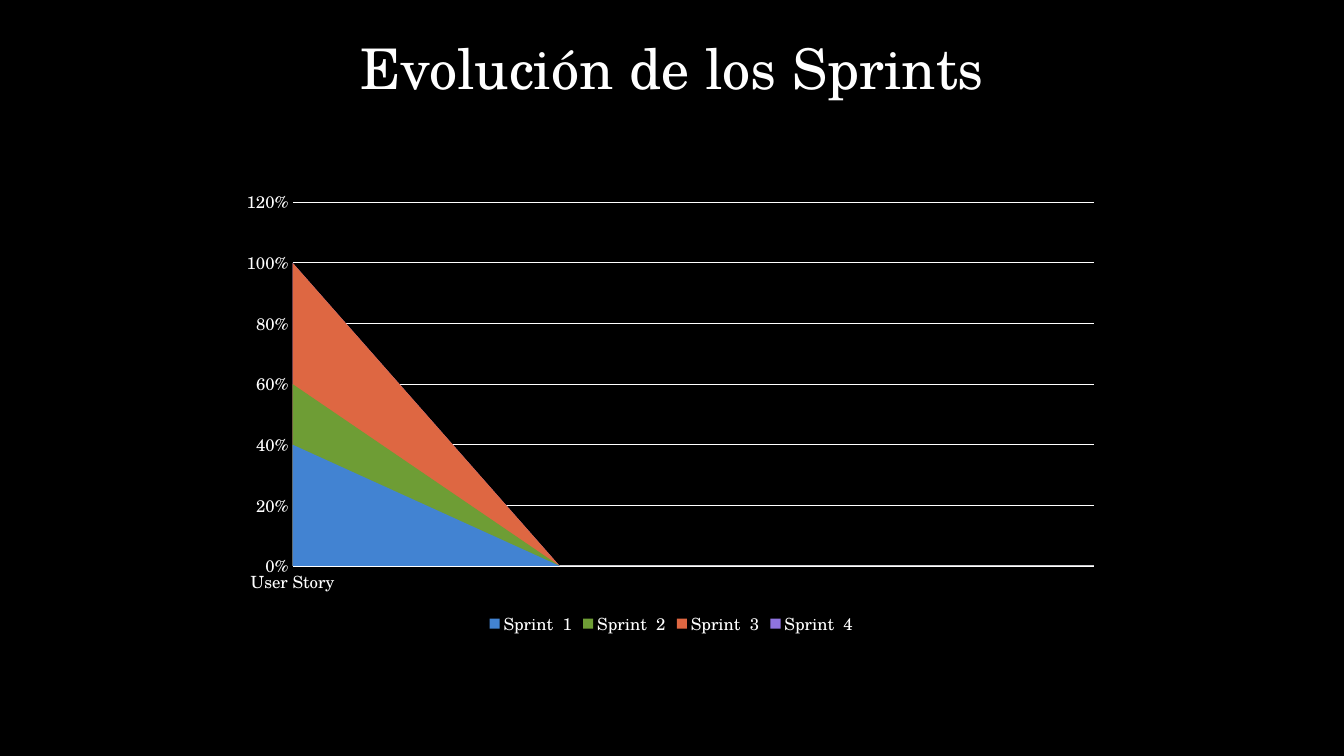
import pptx
import pptx.chart.data
import pptx.dml.color
import pptx.enum.chart
import pptx.enum.text
import pptx.oxml
import pptx.oxml.ns
import pptx.util

Pt = pptx.util.Pt
COLORS = {
    "back": "000000",
    "text": "FFFFFF",
    "Sprint  1": "4283D2",
    "Sprint  2": "6E9D35",
    "Sprint  3": "DE6742",
    "Sprint  4": "8F73DF",
}
DONE = {"Sprint  1": 0.4, "Sprint  2": 0.6, "Sprint  3": 1, "Sprint  4": 1}
STORIES = ["User Story", "", "", ""]


def put(item, values):
    for name, value in values.items():
        setattr(item, name, value)


def color(name):
    return pptx.dml.color.RGBColor.from_string(COLORS[name])


class Deck:
    face = "TeX Gyre Schola"

    def __init__(self, show):
        self.slide = show.slides.add_slide(show.slide_layouts[5])
        self.paint(self.slide.background, "back")

    def paint(self, item, name):
        item.fill.solid()
        item.fill.fore_color.rgb = color(name)

    def style(self, font, size):
        put(font, {"name": self.face, "size": Pt(size), "bold": False})
        font.color.rgb = color("text")

    def title(self, text, left, top, width, height):
        shape = self.slide.shapes.title
        put(shape, {"left": Pt(left), "top": Pt(top),
                    "width": Pt(width), "height": Pt(height)})
        frame = shape.text_frame
        put(frame, {"text": text, "word_wrap": True,
                    "vertical_anchor": pptx.enum.text.MSO_ANCHOR.BOTTOM})
        line = frame.paragraphs[0]
        put(line, {"alignment": pptx.enum.text.PP_ALIGN.CENTER,
                   "line_spacing": 0.9})
        self.style(line.runs[0].font, 40)

    def area(self, labels, series, left, top, width, height):
        data = pptx.chart.data.CategoryChartData(number_format="0%")
        data.categories = labels
        for name, value in series.items():
            data.add_series(name, [value] + [None] * (len(labels) - 1))
        chart = self.slide.shapes.add_chart(
            pptx.enum.chart.XL_CHART_TYPE.AREA,
            Pt(left), Pt(top), Pt(width), Pt(height), data).chart
        put(chart, {"has_title": False, "has_legend": True})
        self.style(chart.font, 10)
        chart.plots[0].vary_by_categories = False
        for part in chart.plots[0].series:
            self.paint(part.format, part.name)
        put(chart.legend, {
            "position": pptx.enum.chart.XL_LEGEND_POSITION.BOTTOM,
            "include_in_layout": False})
        self.style(chart.legend.font, 12)
        self.axes(chart)
        self.frame(chart, {"x": 0.07, "y": 0.05, "w": 0.91, "h": 0.79})

    def axes(self, chart):
        none = pptx.enum.chart.XL_TICK_MARK.NONE
        for axis in (chart.category_axis, chart.value_axis):
            put(axis, {"major_tick_mark": none, "minor_tick_mark": none,
                       "has_major_gridlines": False})
            axis.format.line.fill.background()
            self.style(axis.tick_labels.font, 12)
        put(chart.value_axis, {"minimum_scale": 0, "maximum_scale": 1.2,
                               "major_unit": 0.2, "has_major_gridlines": True})
        put(chart.value_axis.tick_labels, {
            "number_format": "0%", "number_format_is_linked": False})
        grid = chart.value_axis.major_gridlines.format.line
        grid.width = Pt(0.75)
        grid.color.rgb = color("text")

    def frame(self, chart, place):
        """Fix the inner plot area and let empty values fall to zero."""
        tag = pptx.oxml.ns.qn
        root = chart.element.find(tag("c:chart"))
        root.find(tag("c:dispBlanksAs")).set("val", "zero")
        plot = root.find(tag("c:plotArea"))
        for old in plot.findall(tag("c:layout")):
            plot.remove(old)
        sides = "".join(f'<c:{key}Mode val="edge"/>' for key in "xy")
        sides += "".join(f'<c:{key} val="{value}"/>'
                         for key, value in place.items())
        plot.insert(0, pptx.oxml.parse_xml(
            f'<c:layout {pptx.oxml.ns.nsdecls("c")}><c:manualLayout>'
            f'<c:layoutTarget val="inner"/>{sides}'
            '</c:manualLayout></c:layout>'))


def main():
    show = pptx.Presentation()
    put(show, {"slide_width": Pt(960), "slide_height": Pt(540)})
    deck = Deck(show)
    deck.title("Evolución de los Sprints", 102, -13.5, 756, 90)
    deck.area(STORIES, DONE, 165, 128, 629, 329)
    show.save("out.pptx")


if __name__ == "__main__":
    main()
